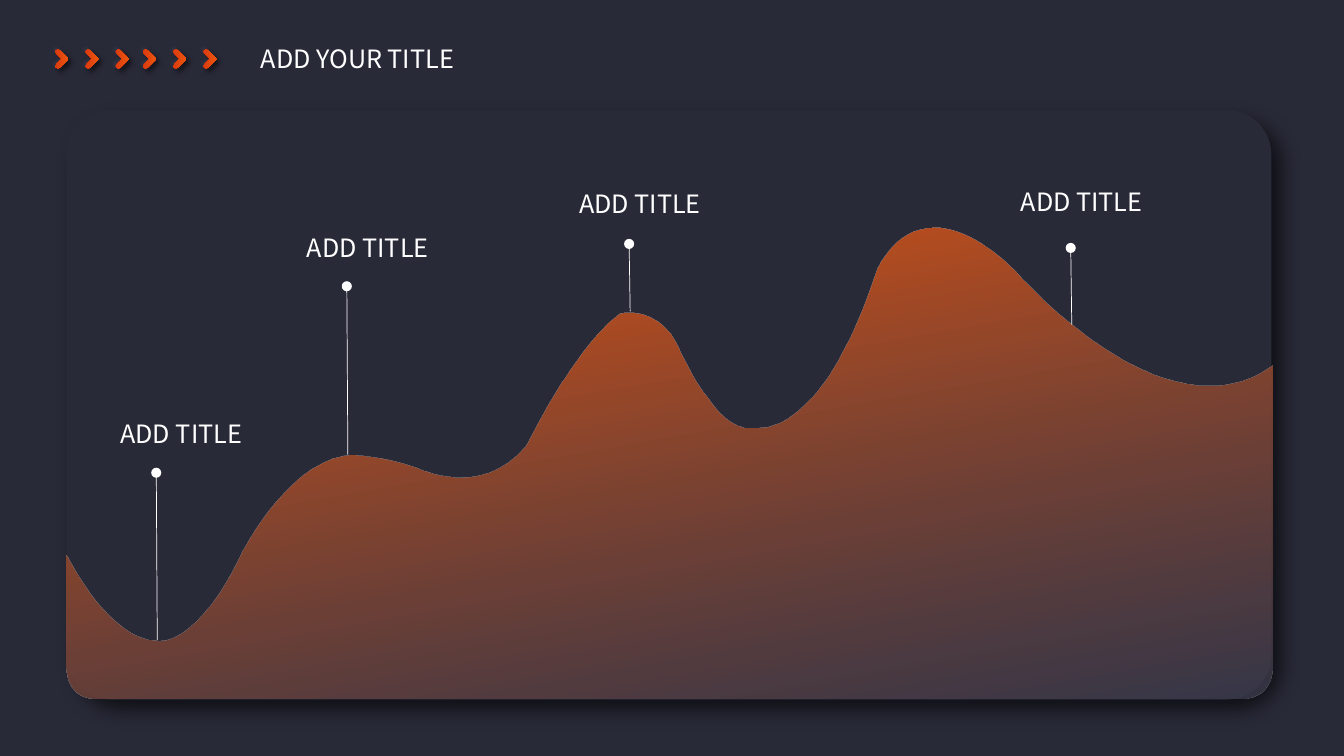
"""Build a dark slide with a wave-shaped area and four labelled pins."""
from dataclasses import dataclass

from lxml.etree import SubElement
from pptx import Presentation
from pptx.dml.color import RGBColor
from pptx.enum.shapes import MSO_CONNECTOR, MSO_SHAPE
from pptx.enum.text import MSO_AUTO_SIZE, PP_ALIGN
from pptx.oxml.ns import qn
from pptx.util import Inches, Pt

FONT = "Noto Sans CJK SC"
NAVY = RGBColor(0x29, 0x2A, 0x38)
SLATE = RGBColor(0x32, 0x36, 0x46)
DUSK = RGBColor(0x3A, 0x3B, 0x4D)
RED = RGBColor(0xCD, 0x2A, 0x12)
ORANGE = RGBColor(0xED, 0x56, 0x0D)
WHITE = RGBColor(0xFF, 0xFF, 0xFF)
BLACK = RGBColor(0, 0, 0)

DOT = 0.1
Point = tuple[float, float]


@dataclass(frozen=True)
class Shadow:
    """Outer shadow: opacity in percent, lengths in points, angle in degrees."""
    color: RGBColor
    opacity: int
    blur: float
    distance: float
    angle: int


@dataclass(frozen=True)
class Outline:
    """Closed outline; a segment has one point (line) or three (cubic curve)."""
    start: Point
    segments: tuple[tuple[Point, ...], ...]


@dataclass(frozen=True)
class Pin:
    """Line from the wave up to a dot, with a label box above."""
    foot: Point
    head: Point
    label: Point


CHEVRON_SHADOWS = (Shadow(SLATE, 100, 2, 2, 220), Shadow(BLACK, 62, 4, 3, 45))
PANEL_SHADOW = Shadow(BLACK, 62, 14, 11, 45)
CHEVRON_GROUPS = (0.5, 1.37)
CHEVRON_STEP = 0.3

CHEVRON = Outline((0.12, 0), (
    ((0.14, 0), (0.15, 0.01), (0.15, 0.03)),
    ((0.15, 0.15),),
    ((0.03, 0.15),),
    ((0.01, 0.15), (0, 0.14), (0, 0.12)),
    ((0, 0.11), (0.01, 0.1), (0.03, 0.1)),
    ((0.1, 0.1),),
    ((0.1, 0.03),),
    ((0.1, 0.01), (0.11, 0), (0.12, 0)),
))

WAVE = Outline((12.3, 6.93), (
    ((12.66, 6.93), (12.62, 6.54), (12.62, 6.54)),
    ((12.62, 3.62),),
    ((11.53, 4.4), (10.07, 2.69), (10.07, 2.69)),
    ((9.06, 1.71), (8.69, 2.69), (8.69, 2.69)),
    ((8.2, 4.18), (7.65, 4.25), (7.5, 4.24)),
    ((7.48, 4.24), (7.46, 4.24), (7.44, 4.24)),
    ((7.11, 4.29), (6.74, 3.47), (6.74, 3.47)),
    ((6.59, 3.11), (6.31, 3.09), (6.19, 3.1)),
    ((6.16, 3.1), (6.14, 3.11), (6.12, 3.13)),
    ((5.68, 3.47), (5.22, 4.42), (5.22, 4.42)),
    ((4.76, 4.96), (4.14, 4.64), (4.14, 4.64)),
    ((3.84, 4.53), (3.52, 4.51), (3.52, 4.51)),
    ((2.92, 4.49), (2.42, 5.44), (2.42, 5.44)),
    ((1.96, 6.43), (1.56, 6.35), (1.56, 6.35)),
    ((1.08, 6.34), (0.68, 5.53), (0.68, 5.53)),
    ((0.66, 5.5),),
    ((0.66, 6.6),),
    ((0.66, 6.95), (0.96, 6.93), (0.96, 6.93)),
))

PINS = (
    Pin((1.56, 6.35), (1.55, 4.69), (0.78, 4.1)),
    Pin((3.45, 4.51), (3.44, 2.84), (2.63, 2.26)),
    Pin((6.25, 3.09), (6.24, 2.42), (5.33, 1.82)),
    Pin((10.63, 3.22), (10.62, 2.46), (9.71, 1.8)),
)


def add_outline(shapes, outline: Outline, dx: float = 0, dy: float = 0):
    """Draw a closed outline of lines and cubic curves, without line or shadow."""
    points = [outline.start, *(point for segment in outline.segments for point in segment)]
    places = [(Inches(x + dx), Inches(y + dy)) for x, y in points]
    builder = shapes.build_freeform(*places[0])
    builder.add_line_segments(places[1:], close=True)
    sp = builder.convert_to_shape()
    outline_path = sp.element.find(".//" + qn("a:path"))
    steps = iter(outline_path.findall(qn("a:lnTo")))
    for segment in outline.segments:
        first, *others = [next(steps) for _ in segment]
        if others:
            first.tag = qn("a:cubicBezTo")
        for step in others:
            first.append(step[0])
            outline_path.remove(step)
    sp.line.fill.background()
    sp.shadow.inherit = False
    return sp


def set_gradient(sp, colors: tuple[RGBColor, RGBColor], angle: int) -> None:
    """Fill with a two-colour gradient at a clockwise angle."""
    sp.fill.gradient()
    sp.fill.gradient_angle = 360 - angle
    for stop, color in zip(sp.fill.gradient_stops, colors):
        stop.color.rgb = color


def set_shadow(sp, shadow: Shadow) -> None:
    """Give the shape an outer shadow."""
    sp.shadow.inherit = False
    effects = sp.element.spPr.find(qn("a:effectLst"))
    outer = SubElement(effects, qn("a:outerShdw"), blurRad=str(Pt(shadow.blur)),
                       dist=str(Pt(shadow.distance)), dir=str(shadow.angle * 60000),
                       algn="ctr", rotWithShape="0")
    color = SubElement(outer, qn("a:srgbClr"), val=str(shadow.color))
    SubElement(color, qn("a:alpha"), val=str(shadow.opacity * 1000))


def add_label(shapes, text: str, at: Point, width: float, align: PP_ALIGN) -> None:
    """Add one unwrapped line of white text."""
    tf = shapes.add_textbox(*map(Inches, (*at, width, 0.4))).text_frame
    tf.word_wrap = False
    tf.auto_size = MSO_AUTO_SIZE.SHAPE_TO_FIT_TEXT
    p = tf.paragraphs[0]
    p.alignment = align
    r = p.add_run()
    r.text = text
    r.font.name = FONT
    r.font.size = Pt(18)
    r.font.color.rgb = WHITE


def add_chevrons(shapes, left: float) -> None:
    """Add a group of three chevrons, each with a light and a dark shadow."""
    group = shapes.add_group_shape()
    for i in range(3):
        for shadow in CHEVRON_SHADOWS:
            sp = add_outline(group.shapes, CHEVRON, left + i * CHEVRON_STEP, 0.51)
            sp.rotation = 315
            set_gradient(sp, (RED, ORANGE), 45)
            set_shadow(sp, shadow)


def add_panel(shapes) -> None:
    """Add the rounded panel and the wave on it."""
    sp = shapes.add_shape(MSO_SHAPE.ROUNDED_RECTANGLE, *map(Inches, (0.66, 1.09, 11.95, 5.85)))
    sp.adjustments[0] = 0.076
    sp.fill.solid()
    sp.fill.fore_color.rgb = NAVY
    sp.line.fill.background()
    set_shadow(sp, PANEL_SHADOW)
    wave = add_outline(shapes, WAVE)
    set_gradient(wave, (ORANGE, DUSK), 80)
    last_color = wave.element.spPr.findall(".//" + qn("a:srgbClr"))[-1]
    SubElement(last_color, qn("a:alpha"), val="80000")


def add_pin(shapes, pin: Pin) -> None:
    """Add a pin as a group of line and dot."""
    group = shapes.add_group_shape()
    line = group.shapes.add_connector(MSO_CONNECTOR.STRAIGHT, *map(Inches, pin.foot + pin.head))
    line.line.color.rgb = WHITE
    line.line.width = Pt(0.5)
    SubElement(line._element.spPr, qn("a:effectLst"))
    left, top = (v - DOT / 2 for v in pin.head)
    dot = group.shapes.add_shape(MSO_SHAPE.OVAL, *map(Inches, (left, top, DOT, DOT)))
    dot.shadow.inherit = False
    dot.fill.solid()
    dot.fill.fore_color.rgb = WHITE
    dot.line.fill.background()


def main() -> None:
    """Build and save the slide."""
    prs = Presentation()
    prs.slide_width, prs.slide_height = Inches(13.33), Inches(7.5)
    s = prs.slides.add_slide(prs.slide_layouts[6])
    s.background.fill.solid()
    s.background.fill.fore_color.rgb = NAVY
    add_label(s.shapes, "ADD YOUR TITLE", (2.31, 0.38), 2.47, PP_ALIGN.CENTER)
    for left in CHEVRON_GROUPS:
        add_chevrons(s.shapes, left)
    add_panel(s.shapes)
    for pin in PINS:
        add_pin(s.shapes, pin)
        add_label(s.shapes, "ADD TITLE", pin.label, 1.72, PP_ALIGN.RIGHT)
    prs.save("out.pptx")


if __name__ == "__main__":
    main()
